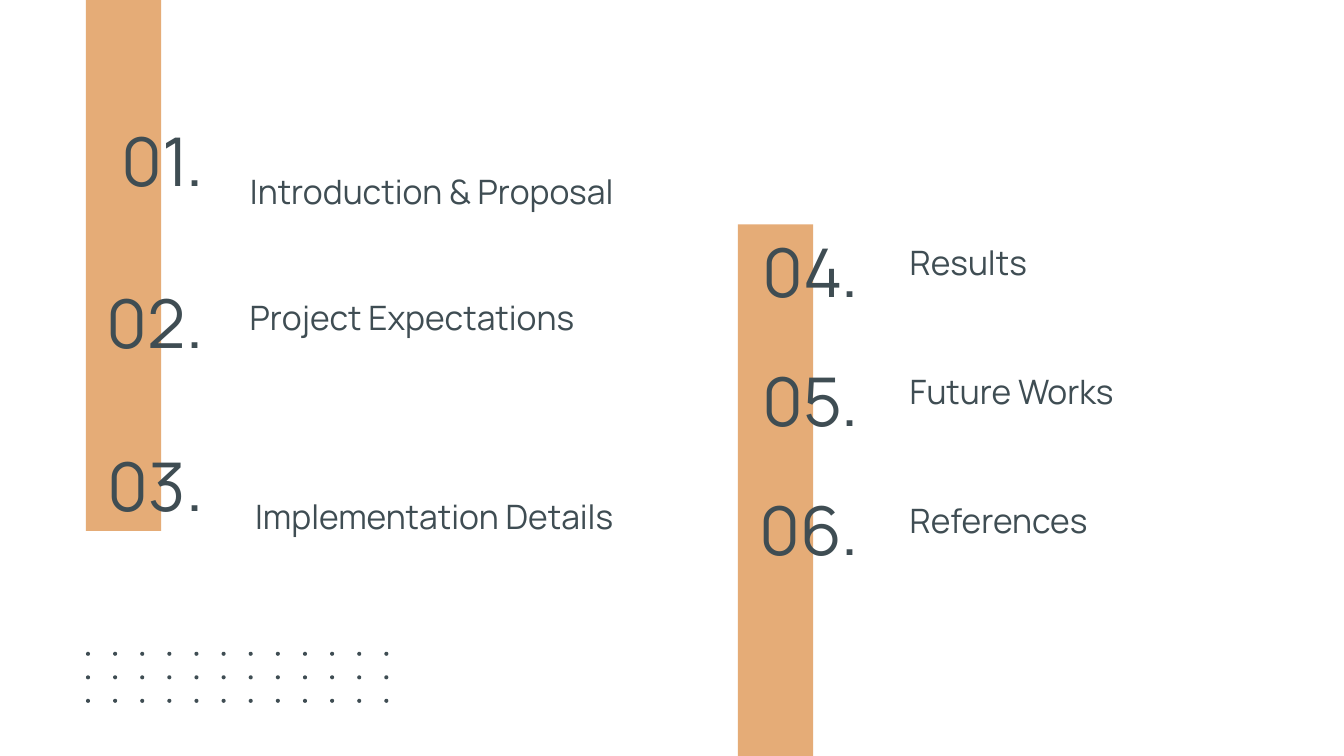
"""Build a table-of-contents slide with two numbered columns on vertical bars."""
from pptx import Presentation
from pptx import util as u
from pptx.dml.color import RGBColor
from pptx.enum import shapes, text

THEME = {
    "font": "Manrope",
    "ink": RGBColor.from_string("3F4D53"),
    "bar": RGBColor.from_string("E5AC77"),
    "number": 36,
    "label": 18,
}
COLUMNS = [
    {"bar": (0.64, 0, 0.56, 3.95), "number_x": 0.17, "top": 0.89, "pitch": 1.21, "label_top": 0.95,
     "items": [("01.", "Introduction & Proposal", 1.76, 0.72),
               ("02.", "Project Expectations", 1.76, 0.45),
               ("03.", "Implementation Details", 1.8, 0.72)]},
    {"bar": (5.49, 1.67, 0.56, 4.06), "number_x": 5.05, "top": 1.72, "pitch": 0.96, "label_top": 1.75,
     "items": [("04.", "Results", 6.67, 0.45),
               ("05.", "Future Works", 6.67, 0.45),
               ("06.", "References", 6.67, 0.45)]},
]
NUMBER_W, NUMBER_H, LABEL_W = 1.44, 0.59, 3.07
DOTS = {"left": 0.64, "top": 4.85, "right": 2.86, "bottom": 5.2, "cols": 12, "rows": 3, "size": 0.03}


def add_block(parent, kind, box, color):
    sp = parent.add_shape(kind, *map(u.Inches, box))
    sp.shadow.inherit = False
    sp.fill.solid()
    sp.fill.fore_color.rgb = color
    sp.line.fill.background()


def set_text(sp, box, words, size, align, anchor):
    sp.left, sp.top, sp.width, sp.height = map(u.Inches, box)
    tf = sp.text_frame
    tf.word_wrap = True
    tf.auto_size = text.MSO_AUTO_SIZE.NONE
    tf.vertical_anchor = anchor
    tf.margin_left = tf.margin_right = tf.margin_top = tf.margin_bottom = u.Inches(0.1)
    p = tf.paragraphs[0]
    p.text = words
    p.alignment = align
    p.font.name = THEME["font"]
    p.font.size = u.Pt(size)
    p.font.color.rgb = THEME["ink"]


def add_text(s, *args):
    set_text(s.shapes.add_textbox(0, 0, 0, 0), *args)


def add_column(s, col):
    add_block(s.shapes, shapes.MSO_SHAPE.RECTANGLE, col["bar"], THEME["bar"])
    for i, (number, label, x, height) in enumerate(col["items"]):
        shift = i * col["pitch"]
        add_text(s, (col["number_x"], col["top"] + shift, NUMBER_W, NUMBER_H), number,
                 THEME["number"], text.PP_ALIGN.RIGHT, text.MSO_ANCHOR.MIDDLE)
        args = ((x, col["label_top"] + shift, LABEL_W, height), label, THEME["label"],
                text.PP_ALIGN.LEFT, text.MSO_ANCHOR.BOTTOM)
        if number == "01.":
            set_text(s.shapes.title, *args)
        else:
            add_text(s, *args)


def add_dots(s):
    d = DOTS
    dx = (d["right"] - d["left"]) / (d["cols"] - 1)
    dy = (d["bottom"] - d["top"]) / (d["rows"] - 1)
    group = s.shapes.add_group_shape()
    for row in range(d["rows"]):
        for c in range(d["cols"]):
            box = (d["left"] + c * dx, d["top"] + row * dy, d["size"], d["size"])
            add_block(group.shapes, shapes.MSO_SHAPE.OVAL, box, THEME["ink"])


def main():
    prs = Presentation()
    prs.slide_width = u.Inches(10)
    prs.slide_height = prs.slide_width * 9 // 16
    s = prs.slides.add_slide(prs.slide_layouts[5])
    for col in COLUMNS:
        add_column(s, col)
    add_dots(s)
    prs.save("out.pptx")


if __name__ == "__main__":
    main()
